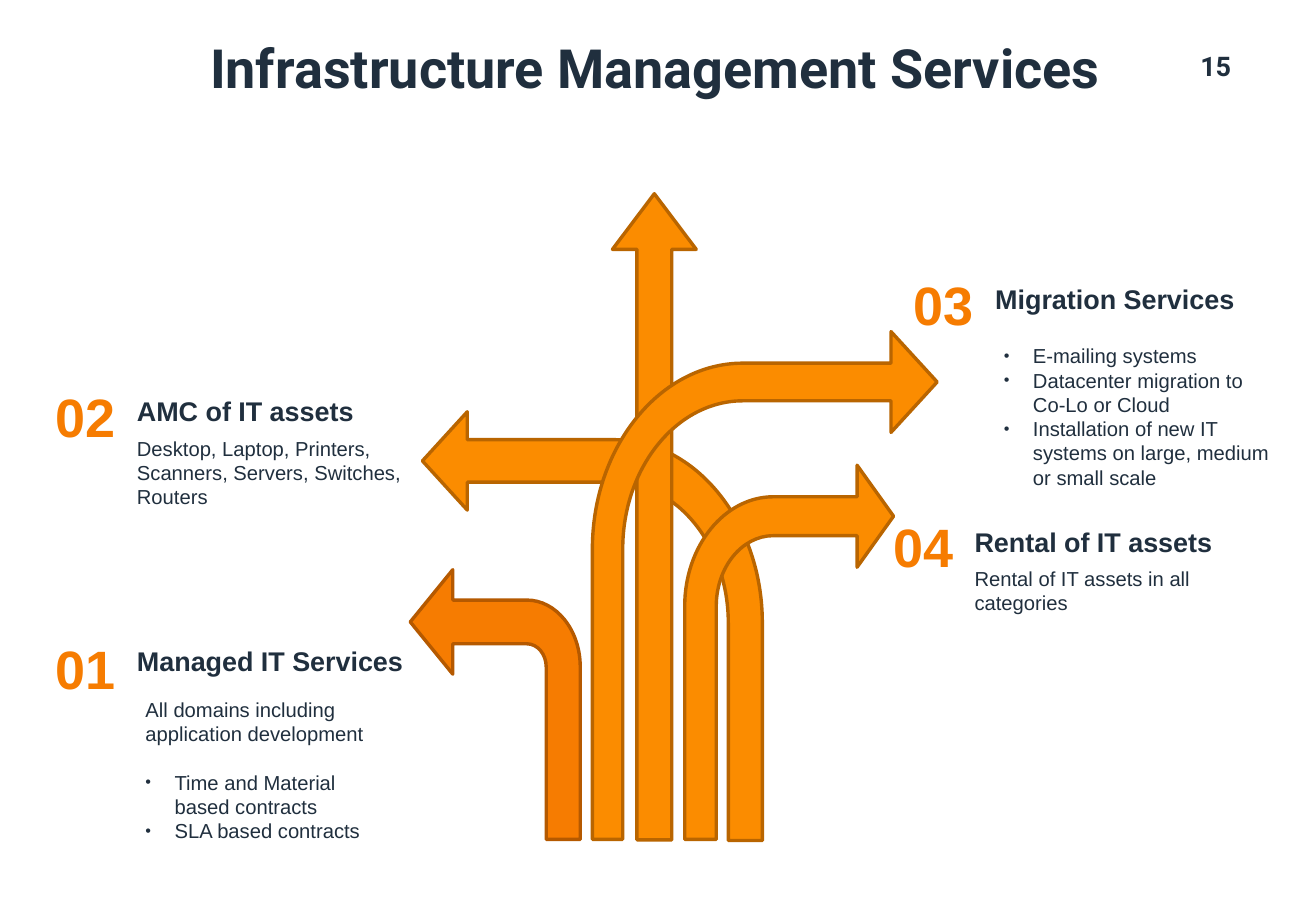
import pptx
import pptx.dml.color
import pptx.enum.shapes
import pptx.enum.text
import pptx.oxml
import pptx.oxml.ns
import pptx.util

EMU_PER_PX = 9144  # 100 px to the inch
ROUNDNESS = 0.55  # handle length of a quarter ellipse
ALIGN = pptx.enum.text.PP_ALIGN
COLORS = {
    "ink": "202F3E",
    "deep": "F67C01",
    "deep edge": "B55900",
    "orange": "FB8C00",
    "orange edge": "B96500",
}


def px(length):
    return pptx.util.Emu(round(length * EMU_PER_PX))


def rgb(name):
    return pptx.dml.color.RGBColor.from_string(COLORS[name])


class RoadmapSlide:
    def __init__(self, page):
        self.page = page
        self.namespace = pptx.oxml.ns.nsdecls("a")

    def text(self, place, paragraphs, size, font="Arial", color="ink", bold=False,
             align=ALIGN.LEFT, grow=True):
        """Add a text box; a paragraph is (text, bulleted, space before in points)."""
        box = self.page.shapes.add_textbox(*map(px, place))
        frame = box.text_frame
        frame.word_wrap = True
        if grow:
            frame.auto_size = pptx.enum.text.MSO_AUTO_SIZE.SHAPE_TO_FIT_TEXT
        for index, (words, bulleted, gap) in enumerate(paragraphs):
            para = frame.paragraphs[0] if index == 0 else frame.add_paragraph()
            para.alignment = align
            if gap:
                para.space_before = pptx.util.Pt(gap)
            if bulleted:
                self.bullet(para)
            span = para.add_run()
            span.text = words
            span.font.name = font
            span.font.size = pptx.util.Pt(size)
            span.font.bold = bold
            span.font.color.rgb = rgb(color)
        return frame

    def bullet(self, para):
        settings = para._p.get_or_add_pPr()
        settings.set("marL", str(px(24)))
        settings.set("indent", str(px(-24)))
        for element in (
            f'<a:buClr {self.namespace}><a:srgbClr val="{COLORS["ink"]}"/></a:buClr>',
            f'<a:buSzPct {self.namespace} val="80000"/>',
            f'<a:buFont {self.namespace} typeface="Arial"/>',
            f'<a:buChar {self.namespace} char="•"/>',
        ):
            settings.append(pptx.oxml.parse_xml(element))

    def paint(self, shape, fill):
        shape.shadow.inherit = False
        shape.fill.solid()
        shape.fill.fore_color.rgb = rgb(fill)
        shape.line.color.rgb = rgb(fill + " edge")
        shape.line.width = pptx.util.Pt(2)

    def straight_arrow(self, place, adjustments, fill):
        arrow = self.page.shapes.add_shape(
            pptx.enum.shapes.MSO_SHAPE.RIGHT_ARROW, *map(px, place))
        arrow.rotation = 270
        for index, value in enumerate(adjustments):
            arrow.adjustments[index] = value
        self.paint(arrow, fill)

    def bent_arrow(self, outer, inner, base, spring, elbow, shaft, neck, tip, head, fill):
        """Rise from the base, turn by a quarter ellipse, then end in a head."""
        top, bottom = shaft
        head_top, head_bottom = head
        corners = [(outer, spring), (elbow, top), (neck, top), (neck, head_top),
                   (tip, (head_top + head_bottom) / 2), (neck, head_bottom),
                   (neck, bottom), (elbow, bottom), (inner, spring), (inner, base)]
        builder = self.page.shapes.build_freeform(px(outer), px(base))
        builder.add_line_segments([(px(x), px(y)) for x, y in corners], close=True)
        arrow = builder.convert_to_shape()

        def handles(side, edge):
            return [(side, spring + (edge - spring) * ROUNDNESS),
                    (elbow + (side - elbow) * ROUNDNESS, edge)]

        # Turn the two elbow segments into curves
        segments = arrow._element.findall(".//" + pptx.oxml.ns.qn("a:lnTo"))
        for corner, controls in (((elbow, top), handles(outer, top)),
                                 ((inner, spring), handles(inner, bottom)[::-1])):
            points = "".join(
                f'<a:pt x="{px(x) - arrow.left}" y="{px(y) - arrow.top}"/>'
                for x, y in [*controls, corner])
            segment = segments[corners.index(corner)]
            segment.getparent().replace(segment, pptx.oxml.parse_xml(
                f"<a:cubicBezTo {self.namespace}>{points}</a:cubicBezTo>"))
        self.paint(arrow, fill)

    def service(self, number, heading, left, top, drop, width):
        self.text((left, top, 75, 64), [(number, False, 0)], 32, color="deep",
                  bold=True, align=ALIGN.CENTER)
        self.text((left + 70, top + drop, width, 37), [(heading, False, 0)], 16, bold=True)


def main():
    deck = pptx.Presentation()
    deck.slide_width, deck.slide_height = px(1084), px(750)
    slide = RoadmapSlide(deck.slides.add_slide(deck.slide_layouts[6]))

    # Page number and title
    slide.text((968, 36, 56, 40), [("15", False, 0)], 16, font="Roboto", bold=True,
               align=ALIGN.RIGHT, grow=False)
    title = slide.text((73, 28, 934, 61), [("Infrastructure Management Services", False, 0)],
                       32, font="Roboto", bold=True, align=ALIGN.CENTER, grow=False)
    title.vertical_anchor = pptx.enum.text.MSO_ANCHOR.MIDDLE
    title.paragraphs[0].line_spacing = 0.9

    # Arrows, from back to front
    slide.bent_arrow(outer=478, inner=450, base=691, spring=549, elbow=434,
                     shaft=(494, 530), neck=373, tip=338, head=(469, 555), fill="deep")
    slide.bent_arrow(outer=628, inner=600, base=692, spring=513, elbow=506,
                     shaft=(362, 397), neck=385, tip=348, head=(339, 420), fill="orange")
    slide.straight_arrow((273, 391, 532, 69), (0.415, 0.663), "orange")
    slide.bent_arrow(outer=488, inner=513, base=691, spring=452, elbow=612,
                     shaft=(299, 330), neck=734, tip=772, head=(273, 356), fill="orange")
    slide.bent_arrow(outer=564, inner=590, base=691, spring=499, elbow=637,
                     shaft=(409, 441), neck=706, tip=736, head=(383, 467), fill="orange")

    # Numbers and headings
    for service in (
        ("01", "Managed IT Services", 33, 518, 8, 255),
        ("02", "AMC of IT assets", 33, 311, 9, 227),
        ("03", "Migration Services", 740, 219, 9, 227),
        ("04", "Rental of IT assets", 723, 418, 10, 227),
    ):
        slide.service(*service)

    # Details
    for place, paragraphs in (
        ((110, 569, 217, 150), [
            ("All domains including application development", False, 0),
            ("Time and Material based contracts", True, 14.4),
            ("SLA based contracts", True, 0)]),
        ((103, 354, 247, 70), [
            ("Desktop, Laptop, Printers, Scanners, Servers, Switches, Routers", False, 0)]),
        ((817, 278, 241, 150), [
            ("E-mailing systems", True, 0),
            ("Datacenter migration to Co-Lo or Cloud", True, 0),
            ("Installation of new IT systems on large, medium or small scale", True, 0)]),
        ((793, 461, 247, 50), [("Rental of IT assets in all categories", False, 0)]),
    ):
        slide.text(place, paragraphs, 12)

    deck.save("out.pptx")


if __name__ == "__main__":
    main()
